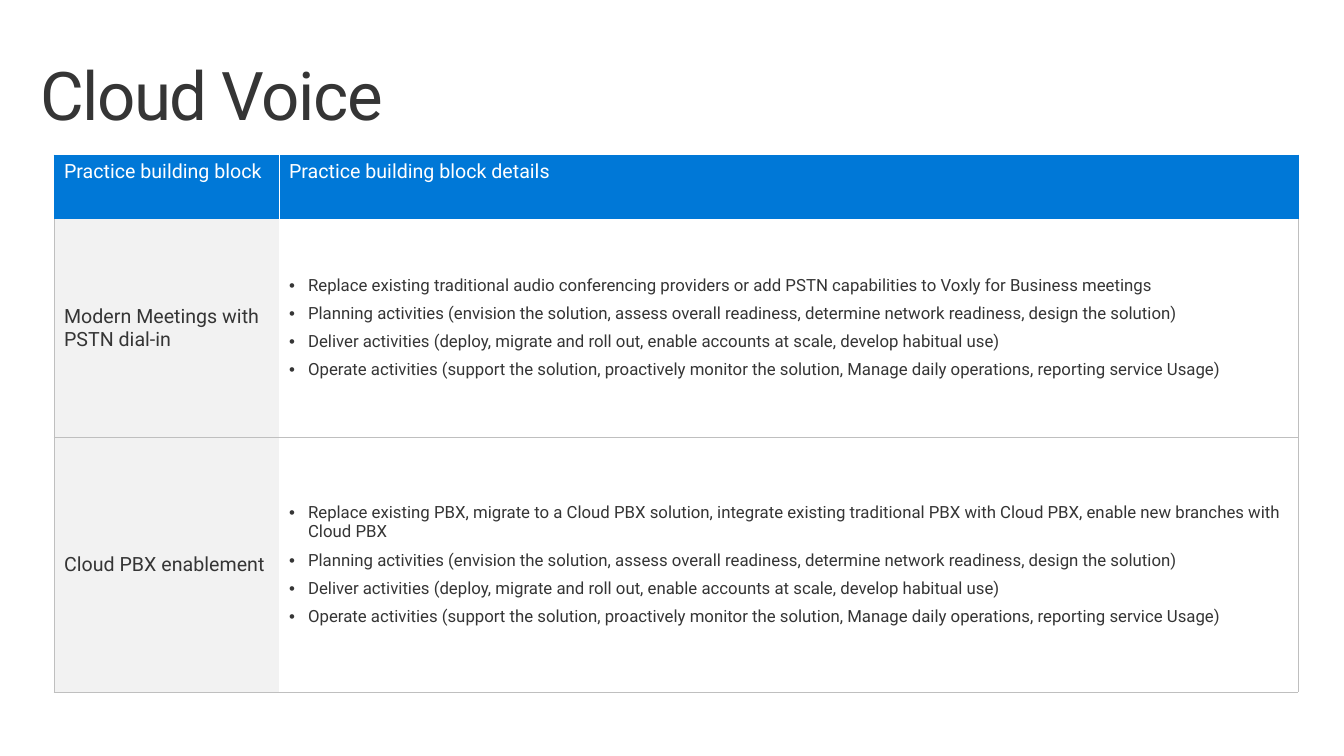
import pptx
import pptx.util
import pptx.dml.color
import pptx.enum.text
import pptx.oxml
import pptx.oxml.ns

SCALE = 914400 / 100.8
BLUE, GREY, PALE, WHITE, DARK = "0078D7", "BFBFBF", "F2F2F2", "FFFFFF", "353535"
TOP = pptx.enum.text.MSO_ANCHOR.TOP
MIDDLE = pptx.enum.text.MSO_ANCHOR.MIDDLE
COMMON = [
    "Planning activities (envision the solution, assess overall readiness, determine network readiness, design the solution)",
    "Deliver activities (deploy, migrate and roll out, enable accounts at scale, develop habitual use)",
    "Operate activities (support the solution, proactively monitor the solution, Manage daily operations, reporting service Usage)",
]
ROWS = [
    ("Practice building block", ["Practice building block details"]),
    ("Modern Meetings with PSTN dial-in", [
        "Replace existing traditional audio conferencing providers or add PSTN capabilities to Voxly for Business meetings",
        *COMMON]),
    ("Cloud PBX enablement", [
        "Replace existing PBX, migrate to a Cloud PBX solution, integrate existing traditional PBX with Cloud PBX, enable new branches with Cloud PBX",
        *COMMON]),
]


def px(count):
    return pptx.util.Emu(round(count * SCALE))


def tint(code):
    return pptx.dml.color.RGBColor.from_string(code)


def apply(item, values):
    for key, value in values.items():
        setattr(item, key, value)


class Page:
    def __init__(self, deck, layout, face):
        self.slide = deck.slides.add_slide(deck.slide_layouts[layout])
        self.face = face

    def style(self, para, size, color):
        apply(para.font, {"name": self.face, "size": pptx.util.Pt(size), "bold": False})
        para.font.color.rgb = tint(color)

    def title(self, text, left, top, width, height):
        shape = self.slide.shapes.title
        apply(shape, {"left": px(left), "top": px(top), "width": px(width), "height": px(height)})
        frame = shape.text_frame
        frame.text = text
        apply(frame, {"margin_left": px(16), "margin_right": px(16),
                      "margin_top": px(10), "margin_bottom": px(10),
                      "vertical_anchor": TOP, "word_wrap": True,
                      "auto_size": pptx.enum.text.MSO_AUTO_SIZE.NONE})
        para = frame.paragraphs[0]
        apply(para, {"alignment": pptx.enum.text.PP_ALIGN.LEFT, "line_spacing": 0.9})
        self.style(para, 48, DARK)
        para.runs[0].font.size = pptx.util.Pt(48)
        para.runs[0].font._element.set("spc", "-100")

    def table(self, left, top, cols, rows):
        frame = self.slide.shapes.add_table(
            len(rows), len(cols), px(left), px(top), px(sum(cols)), px(sum(rows)))
        grid = frame.table
        apply(grid, {"first_row": False, "horz_banding": False})
        for col, width in zip(grid.columns, cols):
            col.width = px(width)
        for row, height in zip(grid.rows, rows):
            row.height = px(height)
        return grid

    def edges(self, cell, colors):
        props = cell._tc.get_or_add_tcPr()
        for side in "LRTB":
            code = colors.get(side)
            paint = f'<a:solidFill><a:srgbClr val="{code}"/></a:solidFill>' if code else "<a:noFill/>"
            props.append(pptx.oxml.parse_xml(
                f'<a:ln{side} {pptx.oxml.ns.nsdecls("a")} w="6350">{paint}</a:ln{side}>'))

    def bullet(self, para):
        props = para._p.get_or_add_pPr()
        apply_indent = {"marL": px(19), "indent": -px(19)}
        for key, value in apply_indent.items():
            props.set(key, str(value))
        for tag in ('buFont typeface="Arial"', 'buChar char="•"'):
            name, rest = tag.split(" ", 1)
            props.append(pptx.oxml.parse_xml(
                f'<a:{name} {pptx.oxml.ns.nsdecls("a")} {rest}/>'))
        para.space_after = pptx.util.Pt(6)

    def cell(self, cell, lines, fill, color, size, anchor, edges, listed=False):
        self.edges(cell, edges)
        cell.fill.solid()
        cell.fill.fore_color.rgb = tint(fill)
        cell.vertical_anchor = anchor
        cell.text = "\n".join(lines)
        for para in cell.text_frame.paragraphs:
            if listed:
                self.bullet(para)
            self.style(para, size, color)


def main():
    deck = pptx.Presentation()
    apply(deck, {"slide_width": px(1344), "slide_height": px(756)})
    page = Page(deck, 5, "Roboto")
    page.title("Cloud Voice", 24, 52, 1197, 67)
    grid = page.table(54, 155, [225, 1019], [64, 218, 255])
    for num, (block, lines) in enumerate(ROWS):
        first, second = grid.cell(num, 0), grid.cell(num, 1)
        if num == 0:
            page.cell(first, [block], BLUE, WHITE, 14, TOP, {"L": BLUE, "T": BLUE, "R": WHITE})
            page.cell(second, lines, BLUE, WHITE, 14, TOP, {"L": WHITE, "T": BLUE, "R": BLUE})
            continue
        rules = {"B": GREY, "T": GREY if num > 1 else None}
        page.cell(first, [block], PALE, DARK, 14, MIDDLE, {"L": GREY, **rules})
        page.cell(second, lines, WHITE, DARK, 12, MIDDLE, {"R": GREY, **rules}, True)
    deck.save("out.pptx")


if __name__ == "__main__":
    main()
